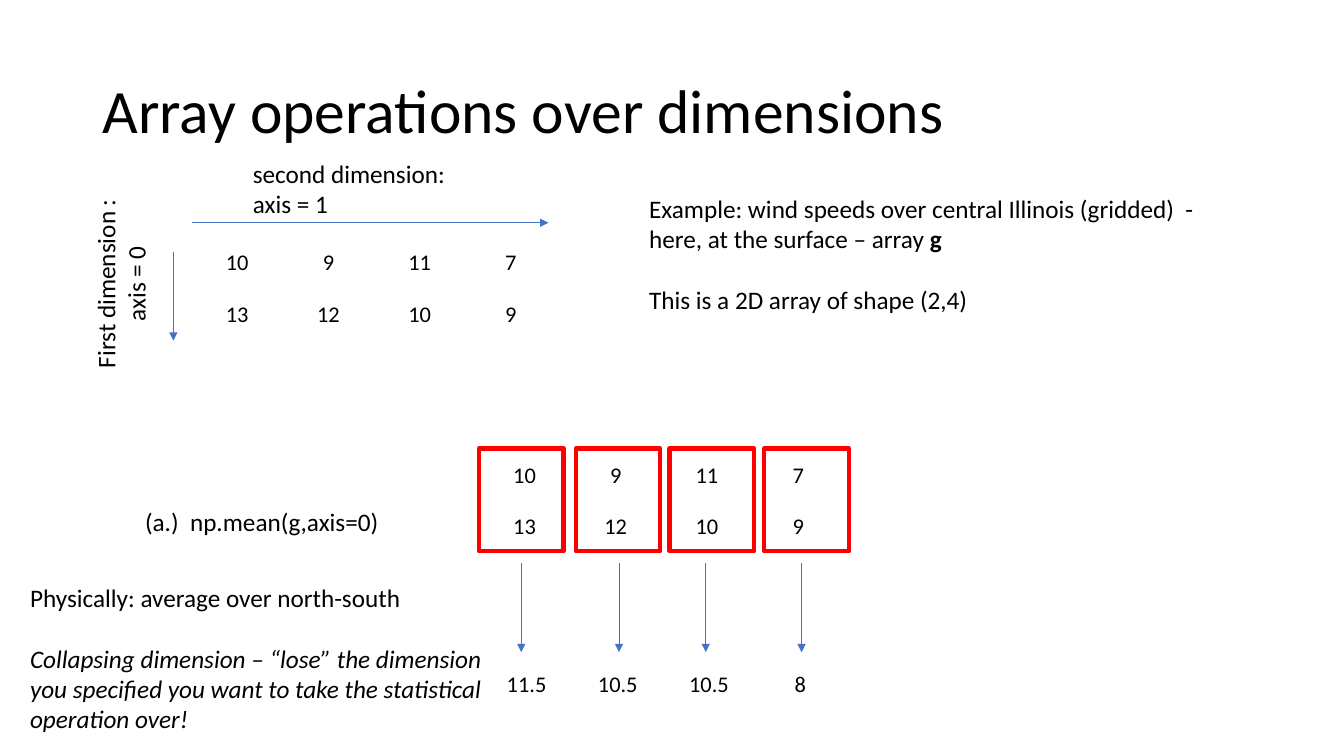
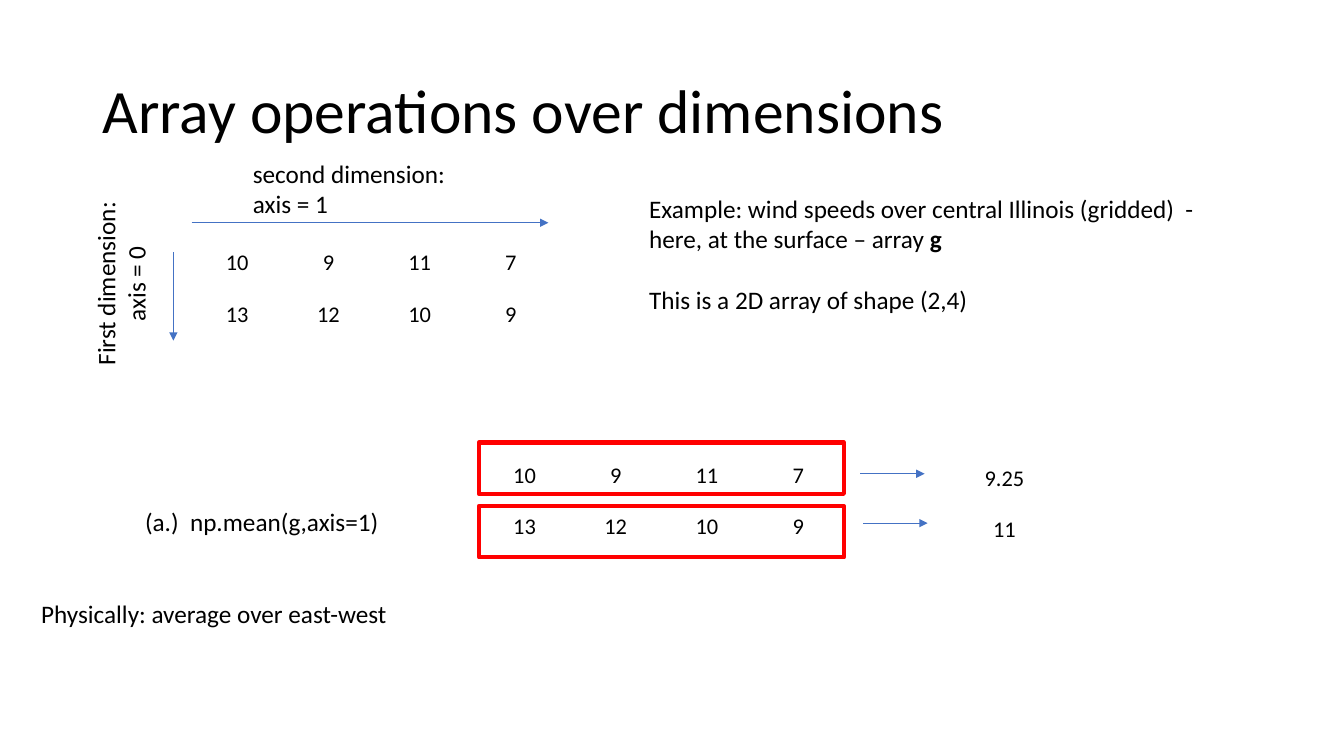
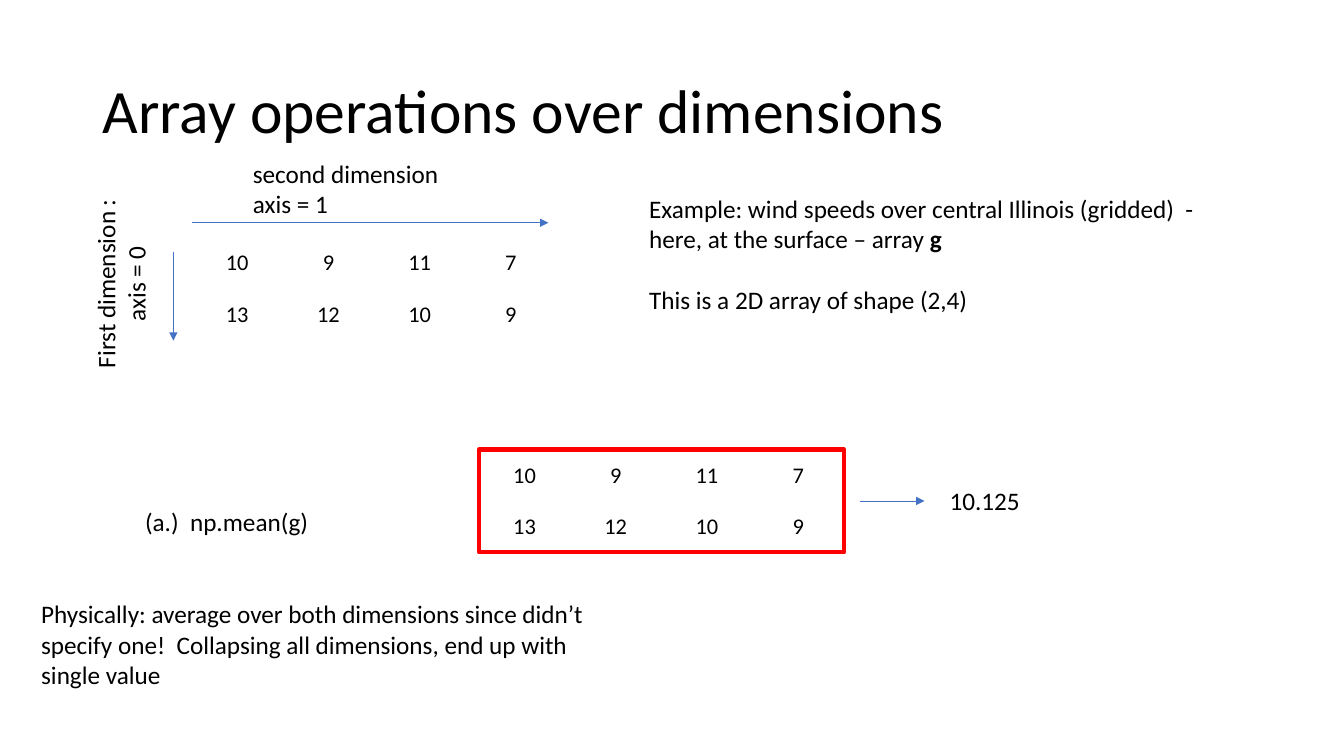
from lxml.etree import SubElement
from pptx import Presentation
from pptx.dml.color import RGBColor
from pptx.enum.shapes import MSO_CONNECTOR, MSO_SHAPE
from pptx.enum.text import MSO_ANCHOR, PP_ALIGN
from pptx.oxml.ns import qn
from pptx.util import Inches, Pt

COLORS = {"text": "000000", "paper": "FFFFFF", "arrow": "4472C4", "frame": "FF0000"}
FONT = "Calibri"
BODY_SIZE, CELL_SIZE, TITLE_SIZE = 18, 16, 44
PARAGRAPH_GAP = 22  # one body line, in points

# Grid: one unit is an inch; number tables use cells of a fixed size
UNIT = Inches(1)
SLIDE_WIDTH, SLIDE_HEIGHT = 13.33, 7.5
ARRAY_WIDTH = 3.62
CELL_WIDTH, CELL_HEIGHT = ARRAY_WIDTH / 4, 0.51
ARRAY_HEIGHT = 2 * CELL_HEIGHT
ARRAY_LEFT, ARRAY_TOP = 4.75, 4.46
NOTE_WIDTH = 5.66

WIND_SPEEDS = [[10, 9, 11, 7], [13, 12, 10, 9]]


def grid(*lengths):
    return [round(length * UNIT) for length in lengths]


def color(name):
    return RGBColor.from_string(COLORS[name])


def add_run(paragraph, text, size=BODY_SIZE, bold=False, italic=False):
    run = paragraph.add_run()
    run.text = text
    font = run.font
    font.name, font.size = FONT, Pt(size)
    font.bold, font.italic = bold, italic
    font.color.rgb = color("text")


def add_text(slide, box, *paragraphs, size=BODY_SIZE, italic=False, align=PP_ALIGN.LEFT, gap=0):
    """Each paragraph is a string or a list of (text, bold) runs."""
    shape = slide.shapes.add_textbox(*grid(*box))
    frame = shape.text_frame
    frame.word_wrap = True
    for index, runs in enumerate(paragraphs):
        paragraph = frame.paragraphs[0] if index == 0 else frame.add_paragraph()
        paragraph.alignment = align
        if index:
            paragraph.space_before = Pt(gap)
        for text, bold in [(runs, False)] if isinstance(runs, str) else runs:
            add_run(paragraph, text, size, bold, italic)
    return shape


def add_title(slide, text):
    shape = add_text(slide, (0.92, 0.4, 11.5, 1.45), text, size=TITLE_SIZE)
    shape.text_frame.vertical_anchor = MSO_ANCHOR.MIDDLE
    shape.text_frame.paragraphs[0].line_spacing = 0.9


def add_arrow(slide, start, end):
    arrow = slide.shapes.add_connector(MSO_CONNECTOR.STRAIGHT, *grid(*start, *end))
    arrow.line.color.rgb = color("arrow")
    arrow.line.width = Pt(0.5)
    SubElement(arrow.line._get_or_add_ln(), qn("a:tailEnd"), type="triangle")
    SubElement(arrow._element.spPr, qn("a:effectLst"))


def add_frame(slide, left, top, width, height):
    frame = slide.shapes.add_shape(MSO_SHAPE.RECTANGLE, *grid(left, top, width, height))
    frame.shadow.inherit = False
    frame.fill.background()
    frame.line.color.rgb = color("frame")
    frame.line.width = Pt(3)


def add_borders(cell):
    properties = cell._tc.get_or_add_tcPr()
    for side in ("a:lnL", "a:lnR", "a:lnT", "a:lnB"):
        border = SubElement(properties, qn(side), w=str(Pt(1)))
        fill = SubElement(border, qn("a:solidFill"))
        SubElement(fill, qn("a:srgbClr"), val=COLORS["paper"])


def add_numbers(slide, left, top, rows):
    size = (len(rows[0]) * CELL_WIDTH, len(rows) * CELL_HEIGHT)
    shape = slide.shapes.add_table(len(rows), len(rows[0]), *grid(left, top, *size))
    table = shape.table
    table.first_row = table.horz_banding = False
    for row_index, row in enumerate(rows):
        for column_index, number in enumerate(row):
            cell = table.cell(row_index, column_index)
            add_borders(cell)
            cell.fill.solid()
            cell.fill.fore_color.rgb = color("paper")
            cell.vertical_anchor = MSO_ANCHOR.MIDDLE
            cell.margin_left = cell.margin_right = cell.margin_top = Inches(0.01)
            cell.margin_bottom = 0
            paragraph = cell.text_frame.paragraphs[0]
            paragraph.alignment = PP_ALIGN.CENTER
            add_run(paragraph, str(number), CELL_SIZE)


def add_example(presentation, call, first="First dimension :", second="second dimension:"):
    """Start a slide with the array, its axes and the array to be averaged."""
    slide = presentation.slides.add_slide(presentation.slide_layouts[6])
    add_title(slide, "Array operations over dimensions")

    # Array with its two axes
    add_numbers(slide, 1.9, 2.35, WIND_SPEEDS)
    add_arrow(slide, (1.72, 2.5), (1.72, 3.38))
    add_arrow(slide, (1.9, 2.21), (5.44, 2.21))
    axis_label = add_text(slide, (0.1, 2.46, 2.2, 0.71), first + " axis = 0", align=PP_ALIGN.CENTER)
    axis_label.rotation = 270
    add_text(slide, (2.41, 1.52, 3.04, 0.71), second, "axis = 1")

    # Explanation
    add_text(
        slide, (6.34, 1.87, NOTE_WIDTH, 1.31),
        [("Example: wind speeds over central Illinois (gridded)  - "
          "here, at the surface – array ", False), ("g", True)],
        "This is a 2D array of shape (2,4)", gap=PARAGRAPH_GAP)

    # Operation
    add_text(slide, (1.34, 4.97, NOTE_WIDTH, 0.4), "(a.)  " + call)
    add_numbers(slide, ARRAY_LEFT, ARRAY_TOP, WIND_SPEEDS)
    return slide


def build_mean_over_rows(presentation):
    slide = add_example(presentation, "np.mean(g,axis=0)")
    for left, center in zip((4.75, 5.71, 6.64, 7.58), (5.17, 6.14, 7, 7.95)):
        add_frame(slide, left, 4.45, 0.84, ARRAY_HEIGHT)
        add_arrow(slide, (center, 5.59), (center, 6.47))
    add_numbers(slide, 4.77, 6.53, [[11.5, 10.5, 10.5, 8]])
    add_text(slide, (0.2, 5.73, NOTE_WIDTH, 0.4), "Physically: average over north-south")
    add_text(slide, (0.2, 6.33, NOTE_WIDTH, 1.01),
             "Collapsing dimension – “lose” the dimension",
             "you specified you want to take the statistical",
             "operation over!", italic=True)


def build_mean_over_columns(presentation):
    slide = add_example(presentation, "np.mean(g,axis=1)", first="First dimension:")
    for frame_top, arrow_left, arrow_top in ((4.39, 8.53, 4.7), (5.02, 8.56, 5.19)):
        add_frame(slide, ARRAY_LEFT, frame_top, ARRAY_WIDTH, CELL_HEIGHT)
        add_arrow(slide, (arrow_left, arrow_top), (arrow_left + 0.64, arrow_top))
    add_numbers(slide, 9.51, 4.49, [[9.25], [11]])
    add_text(slide, (0.31, 5.89, NOTE_WIDTH, 0.4), "Physically: average over east-west")


def build_mean_over_all(presentation):
    slide = add_example(presentation, "np.mean(g)", second="second dimension")
    add_frame(slide, ARRAY_LEFT, ARRAY_TOP, ARRAY_WIDTH, ARRAY_HEIGHT)
    add_arrow(slide, (8.53, 4.97), (9.17, 4.97))
    add_text(slide, (9.32, 4.77, 3.5, 0.4), "10.125")
    add_text(slide, (0.31, 5.89, NOTE_WIDTH, 1.01),
             "Physically: average over both dimensions since didn’t specify one!  "
             "Collapsing all dimensions, end up with single value")


def main():
    presentation = Presentation()
    presentation.slide_width, presentation.slide_height = grid(SLIDE_WIDTH, SLIDE_HEIGHT)
    build_mean_over_rows(presentation)
    build_mean_over_columns(presentation)
    build_mean_over_all(presentation)
    presentation.save("out.pptx")


main()
